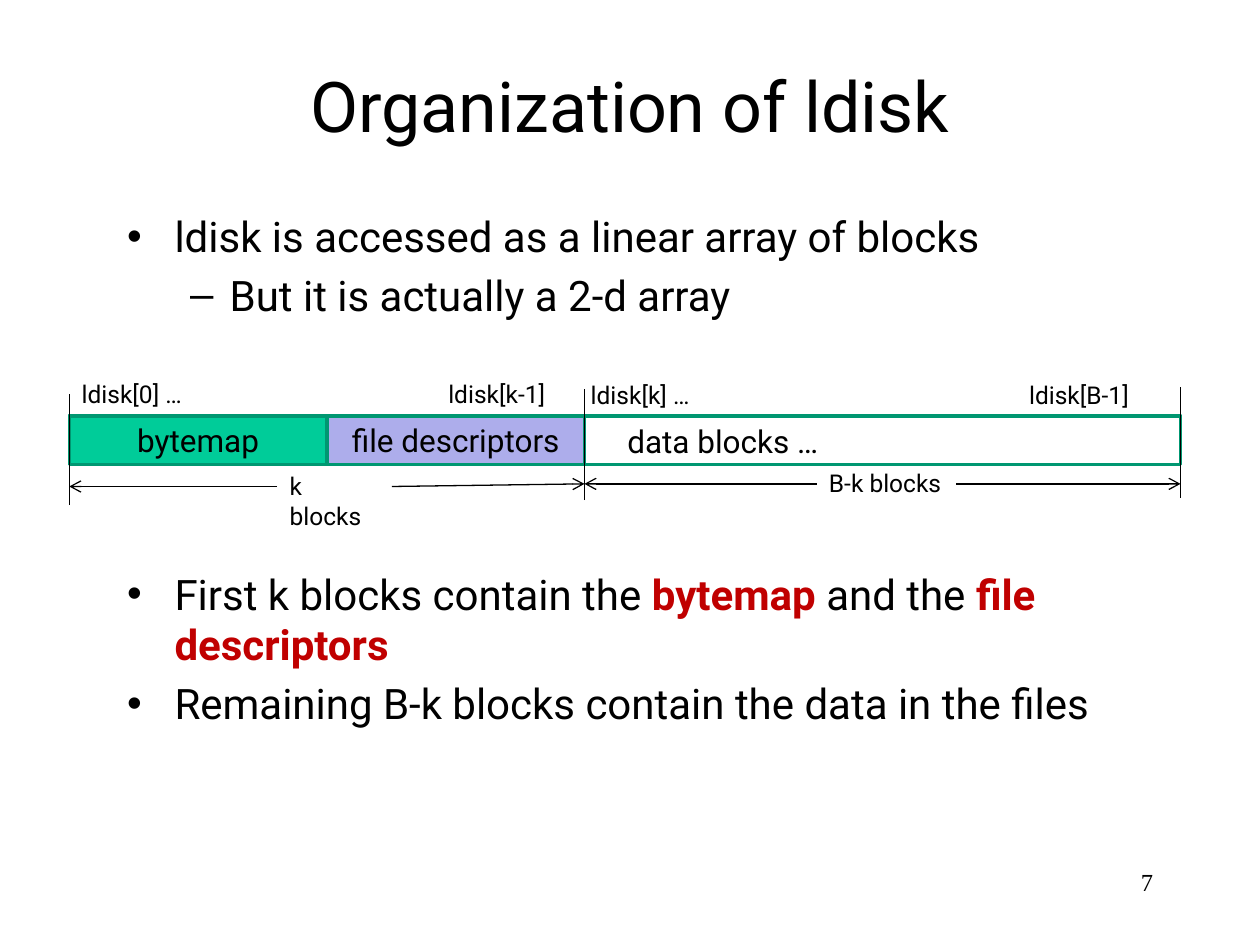
from lxml.etree import SubElement
from pptx import Presentation
from pptx.dml.color import RGBColor
from pptx.enum.shapes import MSO_CONNECTOR, MSO_SHAPE
from pptx.enum.text import MSO_ANCHOR, MSO_AUTO_SIZE, PP_ALIGN
from pptx.oxml.ns import qn
from pptx.util import Pt

FONT, BLACK, RED, GREEN = "Roboto", "000000", "C00000", "009771"
TITLE = "Organization of ldisk"

# Each bullet: level, spans as (words, highlighted)
ACCESS = [
    (0, [("ldisk is accessed as a linear array of blocks", False)]),
    (1, [("But it is actually a 2-d array", False)]),
]
CONTENTS = [
    (0, [("First k blocks contain the ", False), ("bytemap", True),
         (" and the ", False), ("file descriptors", True)]),
    (0, [("Remaining B-k blocks contain the data in the files", False)]),
]

# Disk geometry: start, end of the first k blocks, end of the disk
START, SPLIT, END = 39.6, 334, 674.6
DISK_TOP, DISK_HEIGHT = 237.6, 28
HALF = (SPLIT - START) / 2
BARS = [  # left, width, fill, words
    (START, END - START, None, ""),
    (START, HALF, "00CC99", "bytemap"),
    (START + HALF, HALF, "ADADEB", "file descriptors"),
]
LABELS = [  # words, box, size, tab stop
    ("data blocks …", (351.4, 237.6, 129.6, 29), 18, None),
    ("ldisk[0] …\tldisk[k-1]", (39.6, 213.1, 304.6, 24.5), 14, 209.5),
    ("ldisk[k] …\tldisk[B-1]", (330.5, 213.8, 352.8, 24.5), 14, 250.5),
    ("k blocks", (158.4, 265.7, 65.5, 24.5), 14, None),
    ("B-k blocks", (466.6, 264.2, 79.9, 24.5), 14, None),
]
BOUNDARIES = [(START, 288.7), (SPLIT, 285.8), (END, 284.4)]  # x, bottom
BOUNDARY_HEIGHT = 63.4
ARROWS = [  # from x, from y, to x, to y
    (223.9, 278, SPLIT, 276.5),
    (158.4, 278, START, 278),
    (546.5, 276.5, END, 276.5),
    (466.6, 276.5, SPLIT, 276.5),
]


def color(value):
    """Turn a hex string into a colour."""
    return RGBColor.from_string(value)


def set_font(font, size, name=FONT, value=BLACK):
    """Set size, typeface and colour of a font."""
    font.size, font.name = Pt(size), name
    font.color.rgb = color(value)


def place(shape, left, top, width, height):
    """Move and size a shape, in points."""
    shape.left, shape.top = Pt(left), Pt(top)
    shape.width, shape.height = Pt(width), Pt(height)


def fill_list(body, box, bullets):
    """Write a bulleted list into a body placeholder."""
    place(body, *box)
    frame = body.text_frame
    frame.auto_size = MSO_AUTO_SIZE.NONE
    for index, (level, spans) in enumerate(bullets):
        para = frame.add_paragraph() if index else frame.paragraphs[0]
        para.level = level
        set_font(para.font, 24)
        for words, highlighted in spans:
            span = para.add_run()
            span.text = words
            if highlighted:
                span.font.bold = True
                span.font.color.rgb = color(RED)


def add_label(page, words, box, size, tab=None, name=FONT):
    """Add a text box, with an optional tab stop, and return its paragraph."""
    label = page.shapes.add_textbox(*map(Pt, box))
    label.text_frame.word_wrap = True
    para = label.text_frame.paragraphs[0]
    para.text = words
    set_font(para.font, size, name)
    if tab:
        stops = para._p.get_or_add_pPr()
        tab_list = stops.makeelement(qn("a:tabLst"), {})
        stops.insert(0, tab_list)
        SubElement(tab_list, qn("a:tab"), pos=str(Pt(tab)), algn="l")
    return para


def add_bar(page, left, width, fill, words):
    """Add one section of the disk."""
    bar = page.shapes.add_shape(MSO_SHAPE.RECTANGLE, Pt(left), Pt(DISK_TOP),
                                Pt(width), Pt(DISK_HEIGHT))
    bar.shadow.inherit = False
    bar.line.color.rgb, bar.line.width = color(GREEN), Pt(2)
    if not fill:
        bar.fill.background()
        return
    bar.fill.solid()
    bar.fill.fore_color.rgb = color(fill)
    bar.text_frame.vertical_anchor = MSO_ANCHOR.MIDDLE
    para = bar.text_frame.paragraphs[0]
    para.text, para.alignment = words, PP_ALIGN.CENTER
    set_font(para.font, 18)


def add_line(page, ends, arrow=False):
    """Add a thin black line, with an arrowhead at its end if asked."""
    line = page.shapes.add_connector(MSO_CONNECTOR.STRAIGHT, *map(Pt, ends))
    line.line.color.rgb, line.line.width = color(BLACK), Pt(0.75)
    if arrow:
        SubElement(line.line._get_or_add_ln(), qn("a:tailEnd"), type="arrow")
    SubElement(line._element.spPr, qn("a:effectLst"))


deck = Presentation()
deck.slide_width, deck.slide_height = Pt(720), Pt(540)
page = deck.slides.add_slide(deck.slide_layouts.get_by_name("Two Content"))
title, access, contents = page.placeholders

place(title, 54, 30, 612, 60)
title.text_frame.text = TITLE
set_font(title.text_frame.paragraphs[0].font, 40)
fill_list(access, (65.5, 116.6, 612, 71.3), ACCESS)
fill_list(contents, (65.5, 321.1, 612, 124.6), CONTENTS)

for bar in BARS:
    add_bar(page, *bar)
for label in LABELS:
    add_label(page, *label)
for x, bottom in BOUNDARIES:
    add_line(page, (x, bottom, x, bottom - BOUNDARY_HEIGHT))
for ends in ARROWS:
    add_line(page, ends, arrow=True)

number = add_label(page, "7", (516, 492, 150, 36), 14, name="Times New Roman")
number.alignment = PP_ALIGN.RIGHT

deck.save("out.pptx")
